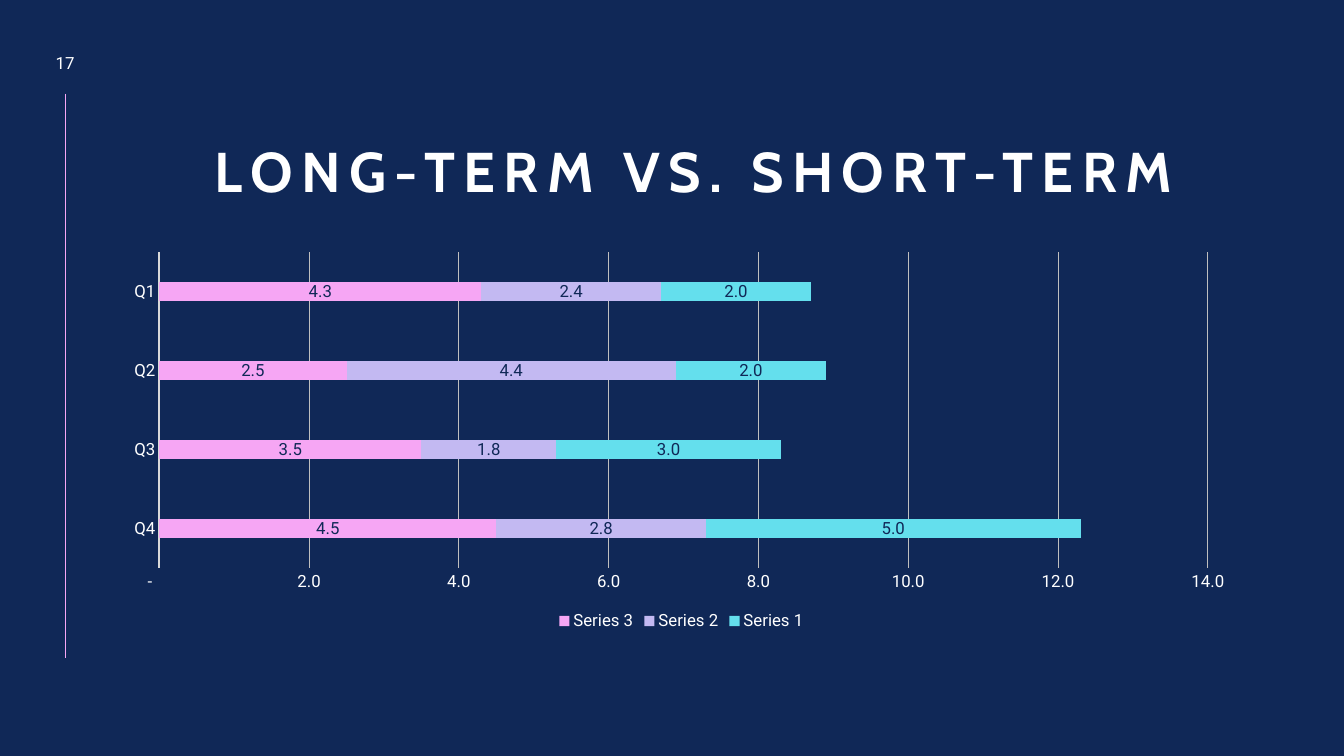
from dataclasses import dataclass

from lxml.etree import SubElement
from pptx import Presentation
from pptx.chart.data import CategoryChartData
from pptx.dml.color import RGBColor
from pptx.enum.chart import XL_CHART_TYPE, XL_LABEL_POSITION, XL_LEGEND_POSITION, XL_TICK_MARK
from pptx.enum.shapes import MSO_CONNECTOR
from pptx.enum.text import MSO_ANCHOR, MSO_AUTO_SIZE, PP_ALIGN
from pptx.oxml.ns import qn
from pptx.util import Inches, Pt


@dataclass(frozen=True)
class Theme:
    navy: str = "102857"
    white: str = "FFFFFF"
    pink: str = "F6A6F4"
    lilac: str = "C3B9F2"
    aqua: str = "64DFED"
    axis: str = "D9D9D9"
    grid: str = "BFBFBF"
    heading_font: str = "Cabin"
    body_font: str = "Roboto"
    title_size: int = 40
    body_size: int = 12


THEME = Theme()
WIDTH, HEIGHT = 13.33, 7.5
NUMBER_FORMAT = r'_(* #,##0.0_);_(* \(#,##0.0\);_(* "-"??_);_(@_)'
QUARTERS = ["Q4", "Q3", "Q2", "Q1"]
SERIES = [
    ("Series 3", [4.5, 3.5, 2.5, 4.3], THEME.pink),
    ("Series 2", [2.8, 1.8, 4.4, 2.4], THEME.lilac),
    ("Series 1", [5, 3, 2, 2], THEME.aqua),
]


def share_box(left, top, width, height):
    return (
        Inches(left * WIDTH), Inches(top * HEIGHT),
        Inches(width * WIDTH), Inches(height * HEIGHT),
    )


def style_font(font, color=THEME.white, size=THEME.body_size, name=THEME.body_font, bold=False):
    font.name = name
    font.size = Pt(size)
    font.bold = bold
    font.color.rgb = RGBColor.from_string(color)


def write_text(shape, text, anchor=MSO_ANCHOR.MIDDLE, line_spacing=1.0, tracking=0, **font_format):
    frame = shape.text_frame
    frame.word_wrap = True
    frame.auto_size = MSO_AUTO_SIZE.NONE
    frame.vertical_anchor = anchor
    para = frame.paragraphs[0]
    para.alignment = PP_ALIGN.CENTER
    para.line_spacing = line_spacing
    span = para.add_run()
    span.text = text
    style_font(span.font, **font_format)
    if tracking:
        span.font._element.set("spc", str(tracking * 100))


def style_line(line, color, width):
    line.color.rgb = RGBColor.from_string(color)
    line.width = Pt(width)


def add_margin(page, box, number):
    left, top, width, height = box
    number_height = Inches(0.34)
    number_box = page.shapes.add_textbox(left, top, width, number_height)
    write_text(number_box, number)
    center = left + width // 2
    rule = page.shapes.add_connector(
        MSO_CONNECTOR.STRAIGHT, center, top + Inches(0.48), center, top + height
    )
    style_line(rule.line, THEME.pink, 0.5)
    SubElement(rule._element.spPr, qn("a:effectLst"))


def add_title(page, box, text):
    title = page.shapes.title
    title.left, title.top, title.width, title.height = box
    write_text(
        title, text, anchor=MSO_ANCHOR.BOTTOM, line_spacing=0.9, tracking=6,
        size=THEME.title_size, name=THEME.heading_font, bold=True,
    )


def style_axes(chart):
    for axis in (chart.category_axis, chart.value_axis):
        axis.major_tick_mark = XL_TICK_MARK.NONE
        axis.minor_tick_mark = XL_TICK_MARK.NONE
        style_font(axis.tick_labels.font)
    chart.category_axis.has_major_gridlines = False
    style_line(chart.category_axis.format.line, THEME.axis, 1.5)
    values = chart.value_axis
    values.format.line.fill.background()
    values.has_major_gridlines = True
    style_line(values.major_gridlines.format.line, THEME.grid, 0.75)
    values.tick_labels.number_format = NUMBER_FORMAT
    values.tick_labels.number_format_is_linked = False


def style_series(series, color):
    series.format.fill.solid()
    series.format.fill.fore_color.rgb = RGBColor.from_string(color)
    series.invert_if_negative = False
    labels = series.data_labels
    labels.show_value = True
    labels.position = XL_LABEL_POSITION.CENTER
    labels.number_format = NUMBER_FORMAT
    labels.number_format_is_linked = False
    style_font(labels.font, color=THEME.navy)


def add_quarter_chart(page, box):
    data = CategoryChartData(number_format=NUMBER_FORMAT)
    data.categories = QUARTERS
    for name, values, color in SERIES:
        data.add_series(name, values)
    chart = page.shapes.add_chart(XL_CHART_TYPE.BAR_STACKED, *box, data).chart
    chart.has_title = False
    style_font(chart.font, size=10)
    chart.has_legend = True
    chart.legend.position = XL_LEGEND_POSITION.BOTTOM
    chart.legend.include_in_layout = False
    style_font(chart.legend.font)
    plot = chart.plots[0]
    plot.vary_by_categories = False
    plot.gap_width = 326
    plot.overlap = 100
    style_axes(chart)
    for series, (name, values, color) in zip(plot.series, SERIES):
        style_series(series, color)


def add_chart_page(deck):
    page = deck.slides.add_slide(deck.slide_layouts.get_by_name("Title Only"))
    page.background.fill.solid()
    page.background.fill.fore_color.rgb = RGBColor.from_string(THEME.navy)
    add_margin(page, share_box(0.027, 0.06, 0.043, 0.81), "17")
    add_title(page, share_box(0.07, 0.121, 0.893, 0.156), "LONG-TERM VS. SHORT-TERM")
    add_quarter_chart(page, share_box(0.083, 0.323, 0.848, 0.517))


def main():
    deck = Presentation()
    deck.slide_width = Inches(WIDTH)
    deck.slide_height = Inches(HEIGHT)
    add_chart_page(deck)
    deck.save("out.pptx")


if __name__ == "__main__":
    main()
